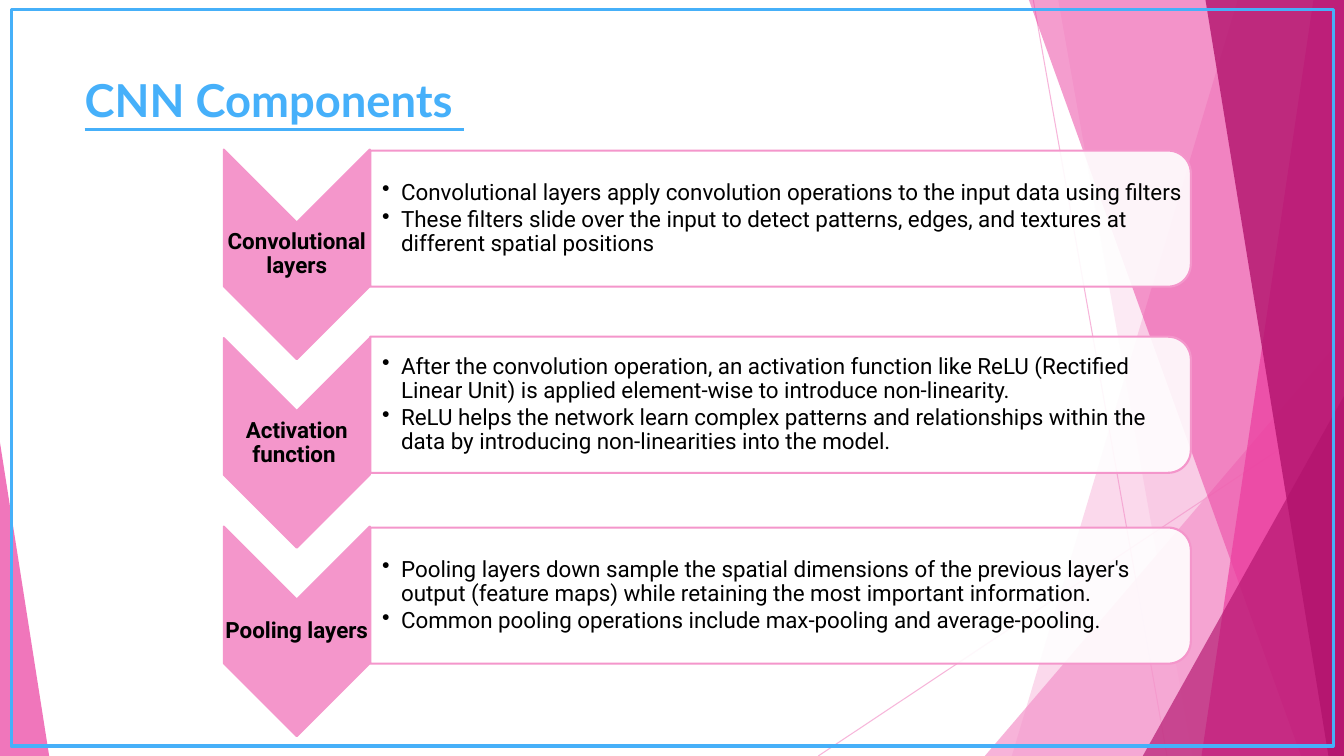
"""Build the CNN Components slide."""
from pptx import Presentation
from pptx.dml.color import RGBColor
from pptx.enum.shapes import MSO_CONNECTOR, MSO_SHAPE
from pptx.enum.text import MSO_ANCHOR, MSO_AUTO_SIZE, PP_ALIGN
from pptx.oxml.ns import qn
from pptx.util import Cm, Pt
from lxml.etree import SubElement

BLUE = RGBColor(0x46, 0xB0, 0xFA)
FRAME_BLUE = RGBColor(0x46, 0xB0, 0xF9)
PINK = RGBColor(0xF4, 0x96, 0xCB)
ROSE = RGBColor(0xEB, 0x3D, 0x9F)
MAGENTA = RGBColor(0xB2, 0x13, 0x6D)
WHITE = RGBColor(0xFF, 0xFF, 0xFF)
BLACK = RGBColor(0, 0, 0)

WIDTH, HEIGHT = 33.87, 19.05
CHEVRON_X, FIRST_CHEVRON_Y, CHEVRON_PITCH = 7.48, 6.41, 4.75
CHEVRON_LENGTH, CHEVRON_WIDTH = 5.28, 3.68
PANEL_X, PANEL_WIDTH, PANEL_HEIGHT = 19.67, 20.68, 3.43

COMPONENTS = [
    ("Convolutional layers", 5.51, [
        "Convolutional layers apply convolution operations to the input data using filters",
        "These filters slide over the input to detect patterns, edges, and textures at "
        "different spatial positions"]),
    ("Activation function ", 10.2, [
        "After the convolution operation, an activation function like ReLU (Rectified "
        "Linear Unit) is applied element-wise to introduce non-linearity.",
        "ReLU helps the network learn complex patterns and relationships within the data "
        "by introducing non-linearities into the model."]),
    ("Pooling layers", 15.01, [
        "Pooling layers down sample the spatial dimensions of the previous layer's output "
        "(feature maps) while retaining the most important information.",
        "Common pooling operations include max-pooling and average-pooling."]),
]


class SlideBuilder:
    """Hold the text style and the current page."""

    def __init__(self, page, font="Roboto", size=16):
        """Remember the page and its body style."""
        self.page, self.font, self.size = page, font, size

    def set_alpha(self, shape, percent):
        """Make the first colour of a shape translucent."""
        color = next(shape.element.spPr.iter(qn("a:srgbClr")))
        SubElement(color, qn("a:alpha")).set("val", str(percent * 1000))

    def paint(self, shape, fill=None, alpha=100, line=None, weight=1.5):
        """Set fill, outline and transparency."""
        shape.shadow.inherit = False
        if fill is None:
            shape.fill.background()
        else:
            shape.fill.solid()
            shape.fill.fore_color.rgb = fill
        if line is None:
            shape.line.fill.background()
        else:
            shape.line.color.rgb = line
            shape.line.width = Pt(weight)
        if alpha < 100:
            self.set_alpha(shape, alpha)

    def shape(self, kind, left, top, width, height, **paint):
        """Add a painted preset shape."""
        shape = self.page.shapes.add_shape(kind, Cm(left), Cm(top), Cm(width), Cm(height))
        self.paint(shape, **paint)
        return shape

    def turned(self, kind, center_x, center_y, width, height, **paint):
        """Add a preset shape rotated a quarter turn about its centre."""
        shape = self.shape(kind, center_x - width / 2, center_y - height / 2,
                           width, height, **paint)
        shape.rotation = 90

    def triangle(self, left, top, width, apex, fill, alpha):
        """Add a right triangle standing on the bottom edge."""
        shape = self.shape(MSO_SHAPE.ISOSCELES_TRIANGLE, left, top, width, HEIGHT - top,
                           fill=fill, alpha=alpha)
        shape.adjustments[0] = apex

    def shard(self, top_x, bottom_x, fill, alpha):
        """Add a slanted band that reaches the right edge."""
        outline = self.page.shapes.build_freeform(Cm(top_x), Cm(0))
        outline.add_line_segments([(Cm(WIDTH), Cm(0)), (Cm(WIDTH), Cm(HEIGHT)),
                                   (Cm(bottom_x), Cm(HEIGHT))])
        self.paint(outline.convert_to_shape(), fill, alpha)

    def line(self, start_x, start_y, end_x, end_y):
        """Add a thin translucent line."""
        line = self.page.shapes.add_connector(
            MSO_CONNECTOR.STRAIGHT, Cm(start_x), Cm(start_y), Cm(end_x), Cm(end_y))
        line.line.color.rgb = PINK
        line.line.width = Pt(0.75)
        self.set_alpha(line, 70)
        SubElement(line.element.spPr, qn("a:effectLst"))

    def title(self, text):
        """Place and format the title."""
        box = self.page.shapes.title
        box.left, box.top, box.width, box.height = Cm(1.88), Cm(1.7), Cm(16.51), Cm(1.37)
        frame = box.text_frame
        frame.auto_size = MSO_AUTO_SIZE.NONE
        frame.vertical_anchor = MSO_ANCHOR.TOP
        para = frame.paragraphs[0]
        para.alignment = PP_ALIGN.LEFT
        span = para.add_run()
        span.text = text
        span.font.name, span.font.size = "Lato", Pt(32.4)
        span.font.bold = span.font.underline = True
        span.font.color.rgb = BLUE

    def text(self, left, center_y, width, height, lines, bullets=False):
        """Add a centred bold label or a bulleted list."""
        box = self.page.shapes.add_textbox(
            Cm(left), Cm(center_y - height / 2), Cm(width), Cm(height))
        frame = box.text_frame
        frame.word_wrap = True
        frame.vertical_anchor = MSO_ANCHOR.MIDDLE
        frame.margin_left = Cm(0.3 if bullets else 0.03)
        frame.margin_top = frame.margin_right = frame.margin_bottom = Cm(0.03)
        for index, line in enumerate(lines):
            para = frame.add_paragraph() if index else frame.paragraphs[0]
            para.line_spacing = 0.9
            if bullets:
                para.space_after = Pt(2.4)
                properties = para._p.get_or_add_pPr()
                properties.set("marL", str(Cm(0.48)))
                properties.set("indent", str(-Cm(0.48)))
                SubElement(properties, qn("a:buChar")).set("char", "•")
            else:
                para.alignment = PP_ALIGN.CENTER
            span = para.add_run()
            span.text = line
            span.font.name, span.font.size = self.font, Pt(self.size)
            span.font.bold = not bullets
            span.font.color.rgb = BLACK

    def backdrop(self):
        """Draw the faceted background and the frame."""
        self.line(26.04, 0, 29.41, HEIGHT)
        self.line(WIDTH, 10.24, 20.62, HEIGHT)
        self.shard(31.19, 25.5, PINK, 36)
        self.shard(26.67, 30.05, PINK, 20)
        self.triangle(24.82, 8.46, 9.05, 1, PINK, 72)
        self.shard(25.93, 32.79, ROSE, 50)
        self.shard(33.1, 30.28, ROSE, 70)
        self.shard(30.38, 33.48, MAGENTA, 80)
        self.triangle(28.8, 9.98, 5.07, 1, MAGENTA, 66)
        self.triangle(0, 11.15, 1.24, 0, ROSE, 70)
        self.shape(MSO_SHAPE.RECTANGLE, 0.28, 0.23, 33.32, 18.57,
                   line=FRAME_BLUE, weight=2.25)

    def component(self, index, label, panel_y, points):
        """Draw one chevron with its panel of points."""
        chevron_y = FIRST_CHEVRON_Y + index * CHEVRON_PITCH
        self.turned(MSO_SHAPE.CHEVRON, CHEVRON_X, chevron_y,
                    CHEVRON_LENGTH, CHEVRON_WIDTH, fill=PINK, line=PINK)
        self.text(CHEVRON_X - CHEVRON_WIDTH / 2, chevron_y, CHEVRON_WIDTH, 1.57, [label])
        self.turned(MSO_SHAPE.ROUND_2_SAME_RECTANGLE, PANEL_X, panel_y,
                    PANEL_HEIGHT, PANEL_WIDTH, fill=WHITE, alpha=90, line=PINK)
        self.text(PANEL_X - PANEL_WIDTH / 2, panel_y, 20.5, 3.1, points, bullets=True)


def main():
    """Assemble and save the deck."""
    deck = Presentation()
    deck.slide_width, deck.slide_height = Cm(WIDTH), Cm(HEIGHT)
    builder = SlideBuilder(deck.slides.add_slide(deck.slide_layouts[5]))
    builder.backdrop()
    builder.title("CNN Components ")
    for index, (label, panel_y, points) in enumerate(COMPONENTS):
        builder.component(index, label, panel_y, points)
    deck.save("out.pptx")


if __name__ == "__main__":
    main()
